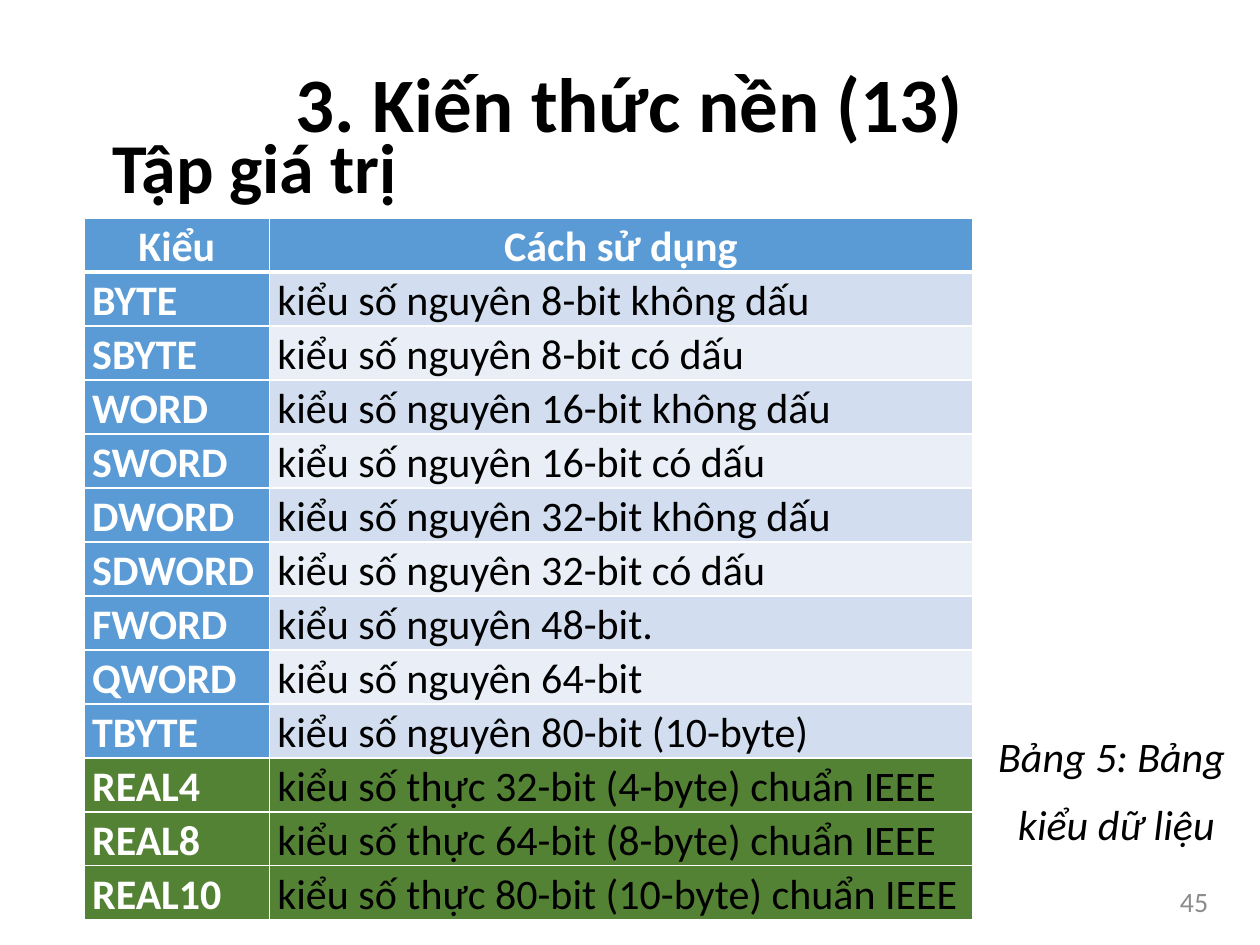
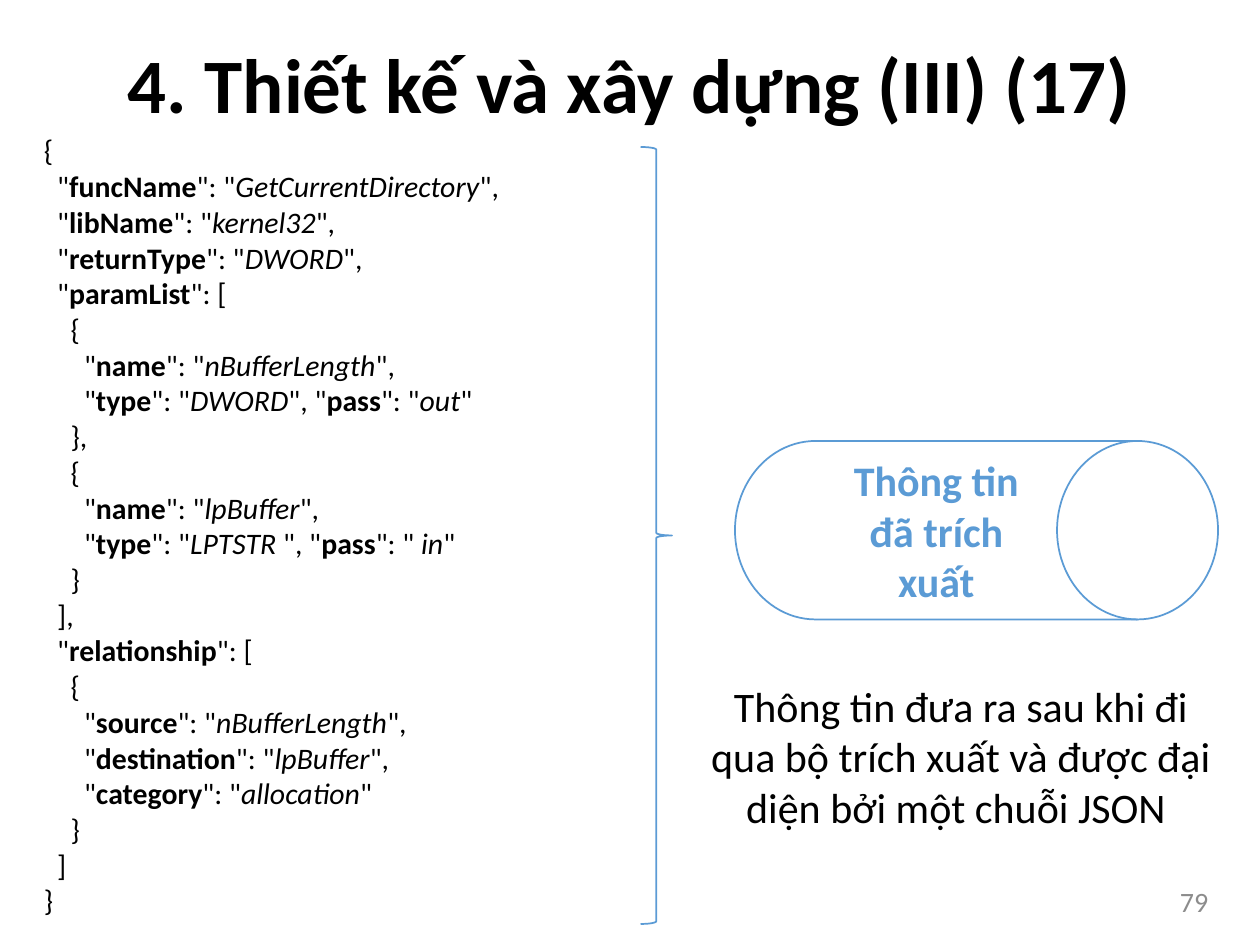
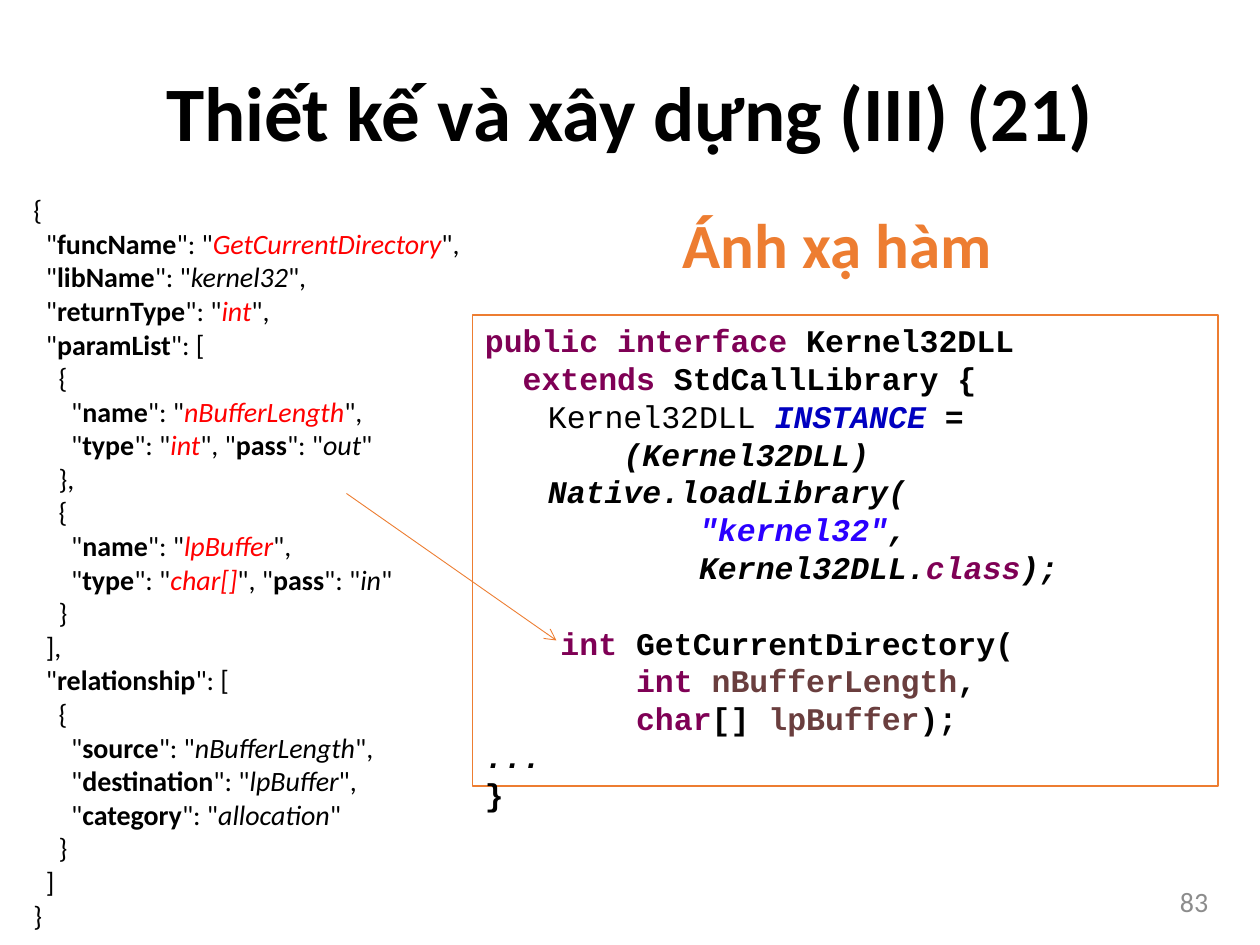
"""Build three slides on data types, extracted JSON and function mapping."""
import dataclasses

import pptx
import pptx.dml.color
import pptx.enum.shapes
import pptx.enum.text
import pptx.oxml
import pptx.oxml.ns
import pptx.util

Pt = pptx.util.Pt
ALIGN = pptx.enum.text.PP_ALIGN
ANCHOR = pptx.enum.text.MSO_ANCHOR
SHAPE = pptx.enum.shapes.MSO_SHAPE


@dataclasses.dataclass(frozen=True)
class Theme:
    body_font: str = "Calibri"
    code_font: str = "Courier New"
    black: str = "000000"
    white: str = "FFFFFF"
    grey: str = "8C8C8C"
    blue: str = "5B9BD5"
    orange: str = "ED7D31"
    red: str = "FF0000"
    green: str = "548235"
    bands: tuple = ("D2DEEF", "EAEFF7")
    keyword: str = "7F0055"
    constant: str = "0000C0"
    string: str = "2A00FF"
    variable: str = "6A3E3E"
    title_size: int = 44
    subtitle_size: int = 40
    heading_size: int = 36
    text_size: int = 24
    code_size: int = 18
    page_size: int = 16


THEME = Theme()

RUN_STYLES = {
    "plain": (False, False, THEME.black),
    "bold": (True, False, THEME.black),
    "italic": (False, True, THEME.black),
    "changed": (False, True, THEME.red),
    "code": (True, False, THEME.black),
    "code italic": (True, True, THEME.black),
    "keyword": (True, False, THEME.keyword),
    "keyword italic": (True, True, THEME.keyword),
    "constant": (True, True, THEME.constant),
    "string": (True, True, THEME.string),
    "variable": (True, False, THEME.variable),
}

TYPE_HEADER = ("Kiểu", "Cách sử dụng")
INTEGER_TYPES = [
    ("BYTE", "kiểu số nguyên 8-bit không dấu"),
    ("SBYTE", "kiểu số nguyên 8-bit có dấu"),
    ("WORD", "kiểu số nguyên 16-bit không dấu"),
    ("SWORD", "kiểu số nguyên 16-bit có dấu"),
    ("DWORD", "kiểu số nguyên 32-bit không dấu"),
    ("SDWORD", "kiểu số nguyên 32-bit có dấu"),
    ("FWORD", "kiểu số nguyên 48-bit."),
    ("QWORD", "kiểu số nguyên 64-bit"),
    ("TBYTE", "kiểu số nguyên 80-bit (10-byte)"),
]
REAL_TYPES = [
    ("REAL4", "kiểu số thực 32-bit (4-byte) chuẩn IEEE"),
    ("REAL8", "kiểu số thực 64-bit (8-byte) chuẩn IEEE"),
    ("REAL10", "kiểu số thực 80-bit (10-byte) chuẩn IEEE"),
]

JSON_LINES = [
    (0, [], "{"),
    (1, [("funcName", "function")], ","),
    (1, [("libName", "library")], ","),
    (1, [("returnType", "return type")], ","),
    (1, [("paramList", None)], "["),
    (2, [], "{"),
    (3, [("name", "length name")], ","),
    (3, [("type", "length type"), ("pass", "length pass")], ""),
    (2, [], "},"),
    (2, [], "{"),
    (3, [("name", "buffer name")], ","),
    (3, [("type", "buffer type"), ("pass", "buffer pass")], ""),
    (2, [], "}"),
    (1, [], "],"),
    (1, [("relationship", None)], "["),
    (2, [], "{"),
    (3, [("source", "source")], ","),
    (3, [("destination", "destination")], ","),
    (3, [("category", "category")], ""),
    (2, [], "}"),
    (1, [], "]"),
    (0, [], "}"),
]
EXTRACTED = {
    "function": "GetCurrentDirectory",
    "library": "kernel32",
    "return type": "DWORD",
    "length name": "nBufferLength",
    "length type": "DWORD",
    "length pass": "out",
    "buffer name": "lpBuffer",
    "buffer type": "LPTSTR ",
    "buffer pass": " in",
    "source": "nBufferLength",
    "destination": "lpBuffer",
    "category": "allocation",
}
MAPPED = EXTRACTED | {
    "return type": "int",
    "length type": "int",
    "buffer type": "char[]",
    "buffer pass": "in",
}
CHANGED = {"function", "return type", "length name", "length type", "buffer name", "buffer type"}

CODE_BODY = 36
CODE_LINE = 21.6
CODE_LINES = [
    (0, 0, 0, [("keyword", "public interface"), ("code", " Kernel32DLL")]),
    (0, 2, 0, [("keyword", "extends"), ("code", " StdCallLibrary {")]),
    (CODE_BODY, 0, 0, [("plain", "Kernel32DLL "), ("constant", "INSTANCE"), ("code italic", " =")]),
    (CODE_BODY, 4, 0, [("code italic", "(Kernel32DLL) Native.loadLibrary(")]),
    (CODE_BODY, 8, 0, [("string", '"kernel32"'), ("code italic", ",")]),
    (CODE_BODY, 8, 0, [("code italic", "Kernel32DLL."), ("keyword italic", "class"),
                       ("code italic", ");")]),
    (0, 4, CODE_LINE, [("keyword", "int"), ("code", " GetCurrentDirectory(")]),
    (0, 8, 0, [("keyword", "int "), ("variable", "nBufferLength"), ("code", ",")]),
    (0, 8, 0, [("keyword", "char"), ("code", "[] "), ("variable", "lpBuffer"), ("code", ");")]),
    (0, 0, 0, [("code italic", "...")]),
    (0, 0, 0, [("code", "}")]),
]


def color(value):
    return pptx.dml.color.RGBColor.from_string(value)


def format_paragraph(paragraph, size, fill, bold=False, italic=False, align=ALIGN.LEFT):
    font = paragraph.font
    font.name, font.size, font.bold, font.italic = THEME.body_font, Pt(size), bold, italic
    font.color.rgb = color(fill)
    paragraph.alignment = align


def add_box(slide, box, anchor=ANCHOR.TOP):
    frame = slide.shapes.add_textbox(*map(Pt, box)).text_frame
    frame.word_wrap = True
    frame.vertical_anchor = anchor
    return frame


def add_text(slide, box, text, size, fill=THEME.black, anchor=ANCHOR.TOP, **style):
    frame = add_box(slide, box, anchor)
    frame.text = text
    for paragraph in frame.paragraphs:
        format_paragraph(paragraph, size, fill, **style)
    return frame


def add_shape(slide, kind, box, line, fill=None):
    shape = slide.shapes.add_shape(kind, *map(Pt, box))
    shape.shadow.inherit = False
    shape.line.color.rgb = color(line)
    shape.line.width = Pt(1)
    if fill:
        shape.fill.solid()
        shape.fill.fore_color.rgb = color(fill)
    else:
        shape.fill.background()
    shape.text_frame.word_wrap = True
    return shape


def indent(paragraph, margin, first_line=0):
    properties = paragraph._p.get_or_add_pPr()
    properties.set("marL", str(int(Pt(margin))))
    properties.set("indent", str(int(Pt(first_line))))


def add_runs(paragraph, runs, font_name, size):
    paragraph.font.name = font_name
    paragraph.font.size = Pt(size)
    paragraph.alignment = ALIGN.LEFT
    for style, text in runs:
        run = paragraph.add_run()
        run.text = text
        run.font.bold, run.font.italic, fill = RUN_STYLES[style]
        run.font.color.rgb = color(fill)


def next_paragraph(frame, index):
    return frame.add_paragraph() if index else frame.paragraphs[0]


def json_runs(fields, ending, values, changed):
    runs = []
    for index, (key, slot) in enumerate(fields):
        runs += [("plain", ', "' if index else '"'), ("bold", key)]
        if slot:
            style = "changed" if slot in changed else "italic"
            runs += [("plain", '": "'), (style, values[slot]), ("plain", '"')]
        else:
            runs.append(("plain", '": '))
    return runs + [("plain", ending)] if ending else runs


def add_json(slide, box, size, values, changed=()):
    frame = add_box(slide, box)
    for index, (level, fields, ending) in enumerate(JSON_LINES):
        paragraph = next_paragraph(frame, index)
        add_runs(paragraph, json_runs(fields, ending, values, changed), THEME.body_font, size)
        indent(paragraph, level * 0.45 * size)


def add_slide(presentation, title, title_top, page):
    slide = presentation.slides.add_slide(presentation.slide_layouts[6])
    frame = add_text(slide, (36, title_top, 648, 90), title, THEME.title_size,
                     anchor=ANCHOR.MIDDLE, bold=True, align=ALIGN.CENTER)
    frame.paragraphs[0].line_spacing = 0.9
    add_text(slide, (535.5, 500.5, 162, 28.8), str(page), THEME.page_size, THEME.grey,
             anchor=ANCHOR.MIDDLE, align=ALIGN.RIGHT)
    return slide


def set_borders(cell, bottom_width):
    properties = cell._tc.get_or_add_tcPr()
    widths = {"lnL": 1, "lnR": 1, "lnT": 1, "lnB": bottom_width}
    for position, (side, width) in enumerate(widths.items()):
        properties.insert(position, pptx.oxml.parse_xml(
            f'<a:{side} {pptx.oxml.ns.nsdecls("a")} w="{int(Pt(width))}"><a:solidFill>'
            f'<a:srgbClr val="{THEME.white}"/></a:solidFill></a:{side}>'))


def fill_cell(cell, text, background, fill, header=False, bold=False):
    cell.fill.solid()
    cell.fill.fore_color.rgb = color(background)
    cell.margin_left = cell.margin_right = Pt(4.5)
    cell.margin_top = cell.margin_bottom = 0
    cell.vertical_anchor = ANCHOR.MIDDLE if header else ANCHOR.BOTTOM
    cell.text = text
    paragraph = cell.text_frame.paragraphs[0]
    format_paragraph(paragraph, THEME.text_size, fill, bold=bold,
                     align=ALIGN.CENTER if header else ALIGN.LEFT)
    paragraph.line_spacing = 1.07
    set_borders(cell, 3 if header else 1)


def add_type_table(slide):
    rows = [TYPE_HEADER] + INTEGER_TYPES + REAL_TYPES
    widths, row_height = (105.8, 401.8), 30.8
    table = slide.shapes.add_table(len(rows), len(widths), Pt(48.2), Pt(124.6),
                                   Pt(sum(widths)), Pt(row_height * len(rows))).table
    table.horz_banding = False
    for column, width in zip(table.columns, widths):
        column.width = Pt(width)
    for index, (name, usage) in enumerate(rows):
        table.rows[index].height = Pt(row_height)
        header = index == 0
        real = index > len(INTEGER_TYPES)
        name_fill = THEME.green if real else THEME.blue
        usage_fill = name_fill if header or real else THEME.bands[(index - 1) % 2]
        fill_cell(table.cell(index, 0), name, name_fill, THEME.white, header, bold=True)
        fill_cell(table.cell(index, 1), usage, usage_fill,
                  THEME.white if header else THEME.black, header, bold=header)


def build_types_slide(presentation):
    slide = add_slide(presentation, "3. Kiến thức nền (13)", 16.6, 45)
    subtitle = add_text(slide, (48.2, 67, 399.6, 55.4), "Tập giá trị",
                        THEME.subtitle_size, bold=True)
    indent(subtitle.paragraphs[0], 9)
    add_type_table(slide)
    caption = add_text(slide, (555.8, 414, 164.2, 75.6), "Bảng 5: Bảng \nkiểu dữ liệu",
                       THEME.text_size, italic=True, align=ALIGN.CENTER)
    for paragraph in caption.paragraphs:
        paragraph.space_after = Pt(10)


def build_extraction_slide(presentation):
    slide = add_slide(presentation, "4. Thiết kế và xây dựng (III) (17)", 5.8, 79)
    add_json(slide, (18, 72, 347.8, 460.8), 17, EXTRACTED)
    drum = add_shape(slide, SHAPE.FLOWCHART_DIRECT_ACCESS_STORAGE, (420, 252, 276, 102),
                     THEME.blue, THEME.white)
    drum.text_frame.text = "Thông tin đã trích xuất"
    drum.text_frame.vertical_anchor = ANCHOR.MIDDLE
    format_paragraph(drum.text_frame.paragraphs[0], THEME.text_size, THEME.blue,
                     bold=True, align=ALIGN.CENTER)
    add_shape(slide, SHAPE.RIGHT_BRACE, (366, 84, 18, 444), THEME.blue)
    add_text(slide, (396, 385.2, 306, 94.3),
             "Thông tin đưa ra sau khi đi qua bộ trích xuất và được đại diện bởi một chuỗi JSON ",
             THEME.text_size, align=ALIGN.CENTER)


def build_mapping_slide(presentation):
    slide = add_slide(presentation, "Thiết kế và xây dựng (III) (21)", 21.6, 83)
    add_json(slide, (12, 106.6, 347.8, 433.4), 16, MAPPED, CHANGED)
    code = add_shape(slide, SHAPE.RECTANGLE, (270, 180, 426, 269.3), THEME.orange, THEME.white)
    code.text_frame.vertical_anchor = ANCHOR.TOP
    character_width = 0.6 * THEME.code_size
    for index, (margin, characters, space, runs) in enumerate(CODE_LINES):
        paragraph = next_paragraph(code.text_frame, index)
        add_runs(paragraph, runs, THEME.code_font, THEME.code_size)
        indent(paragraph, margin, characters * character_width)
        paragraph.space_before = Pt(space)
    arrow = slide.shapes.add_connector(pptx.enum.shapes.MSO_CONNECTOR.STRAIGHT,
                                       Pt(198), Pt(282), Pt(318), Pt(366))
    arrow.line.color.rgb = color(THEME.orange)
    arrow.line.width = Pt(0.5)
    namespace = pptx.oxml.ns.nsdecls("a")
    arrow.line._get_or_add_ln().append(
        pptx.oxml.parse_xml(f'<a:tailEnd {namespace} type="arrow"/>'))
    arrow._element.spPr.append(pptx.oxml.parse_xml(f"<a:effectLst {namespace}/>"))
    add_text(slide, (383, 113.8, 194, 51), "Ánh xạ hàm", THEME.heading_size,
             THEME.orange, bold=True)


def main():
    presentation = pptx.Presentation()
    presentation.slide_width, presentation.slide_height = Pt(720), Pt(540)
    build_types_slide(presentation)
    build_extraction_slide(presentation)
    build_mapping_slide(presentation)
    presentation.save("out.pptx")


if __name__ == "__main__":
    main()
